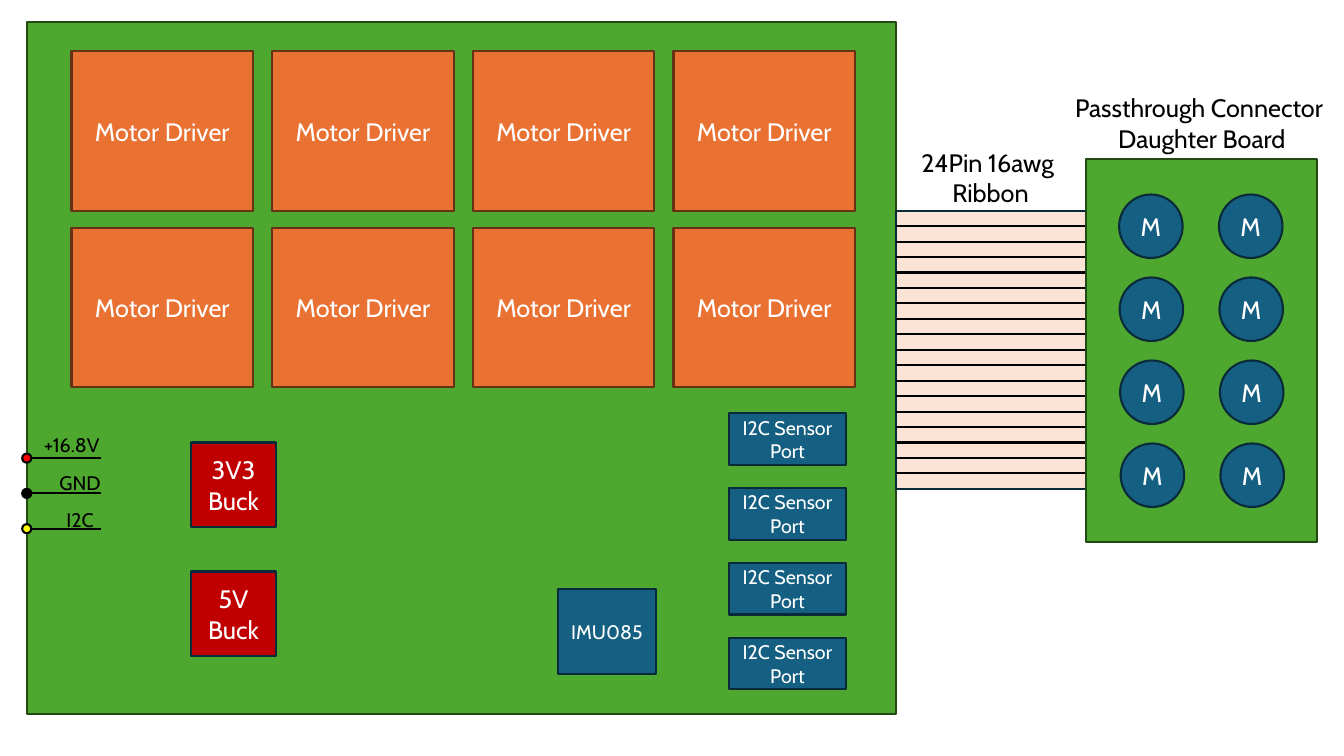
from dataclasses import dataclass

from lxml import etree
from pptx import Presentation
from pptx import util as u
from pptx.dml.color import RGBColor
from pptx.enum import shapes, text
from pptx.oxml.ns import qn


@dataclass(frozen=True)
class Theme:
    font: str = "Cabin"
    large: int = 18
    small: int = 14
    stroke: float = 1.5
    white: str = "FFFFFF"
    black: str = "000000"
    board: tuple = ("4EA72E", "224914")
    driver: tuple = ("E97132", "663216")
    chip: tuple = ("156082", "092A39")
    buck: tuple = ("C00000", "092A39")
    ribbon: tuple = ("FBE3D6", "092A39")
    power: tuple = ("FF0000", "000000")
    ground: tuple = ("000000", "000000")
    data: tuple = ("FFFF00", "000000")


class Diagram:
    def __init__(self, page, theme):
        self.page = page
        self.theme = theme
        self.target = page.shapes

    def start_group(self):
        """Send the following elements to a new group."""
        self.target = self.page.shapes.add_group_shape().shapes

    def end_group(self):
        self.target = self.page.shapes

    def add_lines(self, frame, lines, size, color, align):
        for index, line in enumerate(lines):
            para = frame.paragraphs[0] if index == 0 else frame.add_paragraph()
            para.alignment = align
            span = para.add_run()
            span.text = line
            span.font.color.rgb = RGBColor.from_string(color)
            for name, value in {"name": self.theme.font, "size": u.Pt(size)}.items():
                setattr(span.font, name, value)

    def block(self, left, top, width, height, colors, label=None, size=None,
              kind=shapes.MSO_SHAPE.RECTANGLE):
        box = self.target.add_shape(kind, *map(u.Inches, (left, top, width, height)))
        fill, line = map(RGBColor.from_string, colors)
        box.shadow.inherit = False
        box.fill.solid()
        box.fill.fore_color.rgb = fill
        box.line.color.rgb = line
        box.line.width = u.Pt(self.theme.stroke)
        if label:
            frame = box.text_frame
            for name, value in {"word_wrap": True,
                                "vertical_anchor": text.MSO_ANCHOR.MIDDLE}.items():
                setattr(frame, name, value)
            self.add_lines(frame, [label], size or self.theme.large,
                           self.theme.white, text.PP_ALIGN.CENTER)

    def circle(self, left, top, diameter, colors, label=None):
        self.block(left, top, diameter, diameter, colors, label,
                   kind=shapes.MSO_SHAPE.OVAL)

    def wire(self, left, right, y):
        line = self.target.add_connector(
            shapes.MSO_CONNECTOR.STRAIGHT, *map(u.Inches, (left, y, right, y)))
        line.line.color.rgb = RGBColor.from_string(self.theme.black)
        line.line.width = u.Pt(self.theme.stroke)
        etree.SubElement(line._element.spPr, qn("a:effectLst"))

    def caption(self, left, top, width, height, lines, size, align):
        box = self.target.add_textbox(*map(u.Inches, (left, top, width, height)))
        settings = {"word_wrap": False, "auto_size": text.MSO_AUTO_SIZE.SHAPE_TO_FIT_TEXT}
        for name, value in settings.items():
            setattr(box.text_frame, name, value)
        self.add_lines(box.text_frame, lines, size, self.theme.black, align)


def draw_main_board(diagram):
    theme = diagram.theme
    diagram.block(0.27, 0.22, 8.62, 6.86, theme.board)
    for row in range(2):
        for column in range(4):
            diagram.block(0.71 + 1.99 * column, 0.51 + 1.75 * row, 1.8, 1.58,
                          theme.driver, "Motor Driver")
    diagram.block(5.53, 5.84, 0.98, 0.85, theme.chip, "IMU085", theme.small)


def draw_ribbon(diagram):
    left, top, width, height, strands = 8.89, 2.09, 1.88, 2.76, 18
    diagram.start_group()
    diagram.block(left, top, width, height, diagram.theme.ribbon)
    for strand in range(1, strands):
        diagram.wire(left, left + width, top + height * strand / strands)
    diagram.end_group()


def draw_daughter_board(diagram):
    theme = diagram.theme
    rows, columns = 4, 2
    drift = 0.02 / rows  # each row sits slightly further right
    diagram.start_group()
    diagram.block(10.77, 1.58, 2.29, 3.8, theme.board)
    for row in range(rows):
        for column in range(columns):
            diagram.circle(11.1 + 0.99 * column + drift * row,
                           1.93 + 2.47 * row / (rows - 1), 0.63, theme.chip, "M")
    diagram.end_group()


def draw_ports_and_captions(diagram):
    theme = diagram.theme
    ports = 4
    for port in range(ports):
        diagram.block(7.23, 4.1 + 2.23 * port / (ports - 1), 1.16, 0.51, theme.chip,
                      "I2C Sensor Port", theme.small)
    center = text.PP_ALIGN.CENTER
    diagram.caption(10.51, 0.87, 2.82, 0.71,
                    ["Passthrough Connector ", "Daughter Board"], theme.large, center)
    diagram.caption(9.01, 1.41, 1.63, 0.71,
                    ["24Pin 16awg ", "Ribbon"], theme.large, center)


def draw_power(diagram):
    theme = diagram.theme
    for top, label in ((4.39, "3V3 Buck"), (5.67, "5V Buck")):
        diagram.block(1.89, top, 0.85, 0.84, theme.buck, label)
    inputs = (("+16.8V", theme.power, 0.34, 0.79),
              ("GND", theme.ground, 0.49, 0.61),
              ("I2C", theme.data, 0.56, 0.54))
    diameter = 0.09
    for index, (label, colors, left, width) in enumerate(inputs):
        top = 4.5 + 0.35 * index
        diagram.circle(0.22, top, diameter, colors)
        diagram.wire(0.31, 1, top + diameter / 2)
        diagram.caption(left, 4.25 + 0.37 * index, width, 0.34, [label],
                        theme.small, text.PP_ALIGN.LEFT)


def main():
    deck = Presentation()
    deck.slide_width, deck.slide_height = u.Inches(13.33), u.Inches(7.5)
    diagram = Diagram(deck.slides.add_slide(deck.slide_layouts[6]), Theme())
    draw_main_board(diagram)
    draw_ribbon(diagram)
    draw_daughter_board(diagram)
    draw_ports_and_captions(diagram)
    draw_power(diagram)
    deck.save("out.pptx")


if __name__ == "__main__":
    main()
